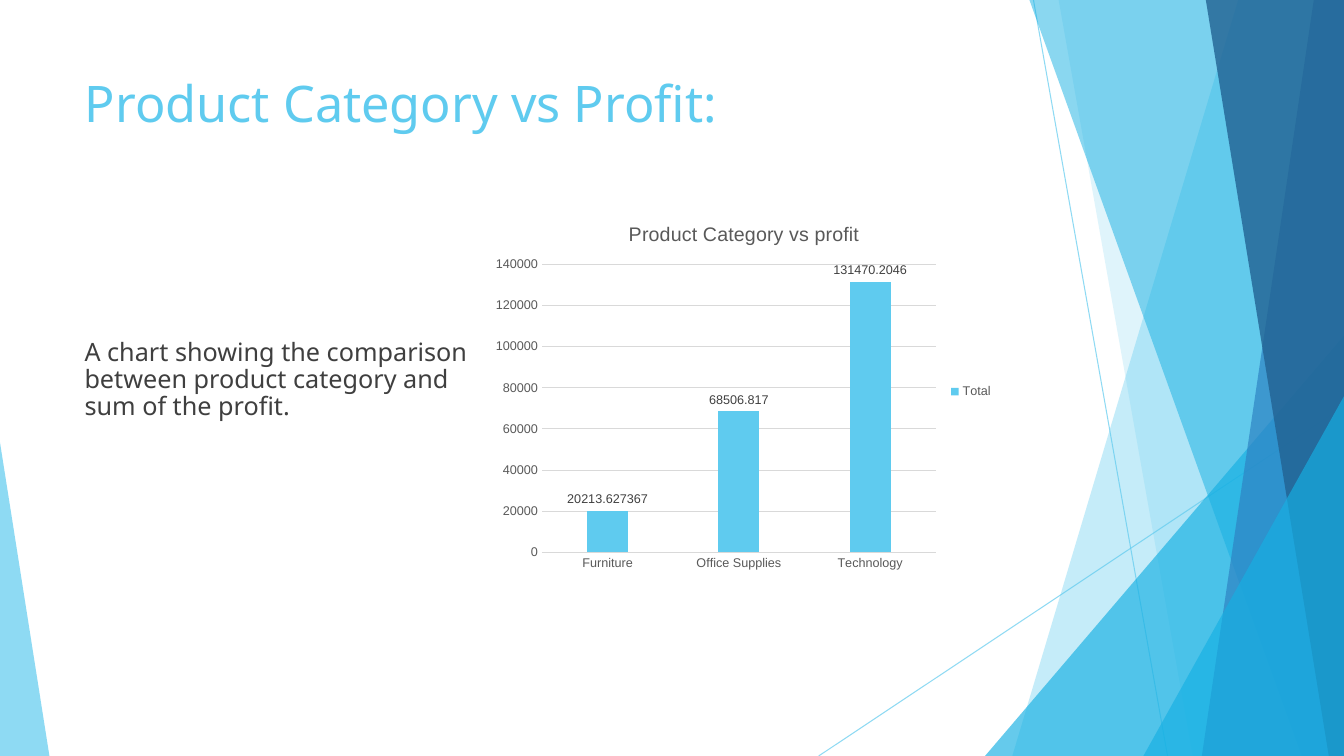
from lxml import etree
from pptx import Presentation
from pptx.chart.data import CategoryChartData
from pptx.dml.color import RGBColor
from pptx.enum.chart import XL_CHART_TYPE as ChartType, XL_LABEL_POSITION as LabelPosition
from pptx.enum.chart import XL_LEGEND_POSITION as LegendPosition, XL_TICK_MARK as TickMark
from pptx.enum.shapes import MSO_CONNECTOR as Connector, MSO_SHAPE as Shape
from pptx.enum.text import MSO_ANCHOR as Anchor, MSO_AUTO_SIZE as AutoSize, PP_ALIGN as Align
from pptx.oxml import parse_xml
from pptx.oxml.ns import nsdecls, qn
from pptx.util import Inches, Pt

WIDTH, HEIGHT = 13.33, 7.5
SKY, CYAN, BLUE, NAVY = "5FCBEF", "16B0E3", "2E83C3", "226292"
GREY, GRID = "595959", "D9D9D9"


def color(value):
    return RGBColor.from_string(value)


def apply(target, values):
    """Set each attribute named in a dict of format values."""
    for name, value in values.items():
        setattr(target, name, value)


def style_font(font, size, value, name):
    apply(font, {"size": Pt(size), "name": name, "bold": False})
    font.color.rgb = color(value)


def style_line(line, value, width=0.75):
    line.color.rgb = color(value)
    line.width = Pt(width)


def set_alpha(element, percent):
    """Make the solid colours inside an element partly transparent."""
    for rgb in element.iter(qn("a:srgbClr")):
        etree.SubElement(rgb, qn("a:alpha"), val=str(percent * 1000))


class SlideBuilder:
    text_font = "Noto Sans"
    chart_font = "Arial"

    def __init__(self, slide):
        self.slide = slide
        self.shapes = slide.shapes

    def ray(self, start, end):
        line = self.shapes.add_connector(Connector.STRAIGHT, *map(Inches, start + end))
        style_line(line.line, SKY)
        properties = line._element.spPr
        set_alpha(properties, 70)
        etree.SubElement(properties, qn("a:effectLst"))

    def paint(self, shape, fill, alpha):
        shape.shadow.inherit = False
        shape.fill.solid()
        shape.fill.fore_color.rgb = color(fill)
        shape.line.fill.background()
        set_alpha(shape._element.spPr, alpha)

    def facet(self, top, bottom, fill, alpha):
        """Fill from a slanted left edge to the right side of the slide."""
        corners = [(top, 0), (WIDTH, 0), (WIDTH, HEIGHT), (bottom, HEIGHT)]
        points = [(Inches(x), Inches(y)) for x, y in corners]
        builder = self.shapes.build_freeform(*points[0])
        builder.add_line_segments(points[1:], close=True)
        self.paint(builder.convert_to_shape(), fill, alpha)

    def triangle(self, left, top, width, apex, fill, alpha):
        """Stand a triangle on the bottom edge of the slide."""
        box = map(Inches, (left, top, width, HEIGHT - top))
        shape = self.shapes.add_shape(Shape.ISOSCELES_TRIANGLE, *box)
        shape.adjustments[0] = apex
        self.paint(shape, fill, alpha)

    def set_text(self, shape, text, size, value, spacing):
        frame = shape.text_frame
        apply(frame, {"text": text, "word_wrap": True, "auto_size": AutoSize.NONE,
                      "vertical_anchor": Anchor.TOP})
        paragraph = frame.paragraphs[0]
        apply(paragraph, {"alignment": Align.LEFT, "line_spacing": spacing})
        style_font(paragraph.runs[0].font, size, value, self.text_font)

    def title(self, box, text):
        shape = self.shapes.title
        apply(shape, dict(zip(("left", "top", "width", "height"), map(Inches, box))))
        self.set_text(shape, text, 36, SKY, 1.0)

    def body(self, box, text):
        self.set_text(self.shapes.add_textbox(*map(Inches, box)), text, 18, "3F3F3F", 0.9)

    def column_chart(self, box, title, series_name, values, plot_box):
        data = CategoryChartData()
        data.categories = list(values)
        data.add_series(series_name, list(values.values()))
        frame = self.shapes.add_chart(ChartType.COLUMN_CLUSTERED, *map(Inches, box), data)
        chart = frame.chart
        style_font(chart.font, 10, "000000", self.chart_font)
        chart.has_title = True
        chart.chart_title.text_frame.text = title
        title_run = chart.chart_title.text_frame.paragraphs[0].runs[0]
        style_font(title_run.font, 14, GREY, self.chart_font)
        chart.chart_title.include_in_layout = False

        chart.has_legend = True
        apply(chart.legend, {"position": LegendPosition.RIGHT, "include_in_layout": False})
        style_font(chart.legend.font, 9, GREY, self.chart_font)

        for axis in (chart.category_axis, chart.value_axis):
            apply(axis, {"major_tick_mark": TickMark.NONE, "minor_tick_mark": TickMark.NONE})
            style_font(axis.tick_labels.font, 9, GREY, self.chart_font)
        style_line(chart.category_axis.format.line, GRID)
        apply(chart.value_axis, {"minimum_scale": 0, "maximum_scale": 140000,
                                 "major_unit": 20000})
        chart.value_axis.format.line.fill.background()
        style_line(chart.value_axis.major_gridlines.format.line, GRID)

        plot = chart.plots[0]
        apply(plot, {"gap_width": 219, "overlap": -27, "vary_by_categories": False,
                     "has_data_labels": True})
        apply(plot.data_labels, {"show_value": True, "position": LabelPosition.OUTSIDE_END})
        style_font(plot.data_labels.font, 9, "404040", self.chart_font)
        fill = plot.series[0].format.fill
        fill.solid()
        fill.fore_color.rgb = color(SKY)
        self.place_plot(chart, plot_box)

    def place_plot(self, chart, plot_box):
        """Fix the inner plot area as fractions of the chart."""
        area = chart._chartSpace.chart.plotArea
        for layout in area.findall(qn("c:layout")):
            area.remove(layout)
        settings = [("layoutTarget", "inner"), ("xMode", "edge"), ("yMode", "edge")]
        settings += zip("xywh", plot_box)
        tags = "".join(f'<c:{name} val="{value}"/>' for name, value in settings)
        area.insert(0, parse_xml(f'<c:layout {nsdecls("c")}><c:manualLayout>{tags}'
                                 "</c:manualLayout></c:layout>"))


def main():
    presentation = Presentation()
    apply(presentation, {"slide_width": Inches(WIDTH), "slide_height": Inches(HEIGHT)})
    title_only = presentation.slide_layouts[5]
    builder = SlideBuilder(presentation.slides.add_slide(title_only))

    builder.ray((10.25, 0), (11.58, HEIGHT))
    builder.ray((WIDTH, 4.03), (8.12, HEIGHT))
    builder.facet(12.28, 10.04, SKY, 36)
    builder.facet(10.5, 11.83, SKY, 20)
    builder.triangle(9.77, 3.33, 3.56, 1, CYAN, 66)
    builder.facet(10.21, 12.91, CYAN, 50)
    builder.facet(13.03, 11.92, BLUE, 70)
    builder.facet(11.96, 13.18, NAVY, 80)
    builder.triangle(11.34, 3.93, 1.99, 1, CYAN, 66)
    builder.triangle(0, 4.39, 0.49, 0, SKY, 70)

    builder.title((0.74, 0.67, 9.4, 1.44), "Product Category vs Profit:")
    builder.body((0.74, 3.32, 4.07, 3.29),
                 "A chart showing the comparison between product category "
                 "and sum of the profit.")
    profits = {"Furniture": 20213.627367, "Office Supplies": 68506.817,
               "Technology": 131470.2046}
    builder.column_chart((4.81, 2.03, 5.14, 3.71), "Product Category vs profit", "Total",
                         profits, plot_box=(0.11, 0.16, 0.76, 0.77))
    presentation.save("out.pptx")


if __name__ == "__main__":
    main()
